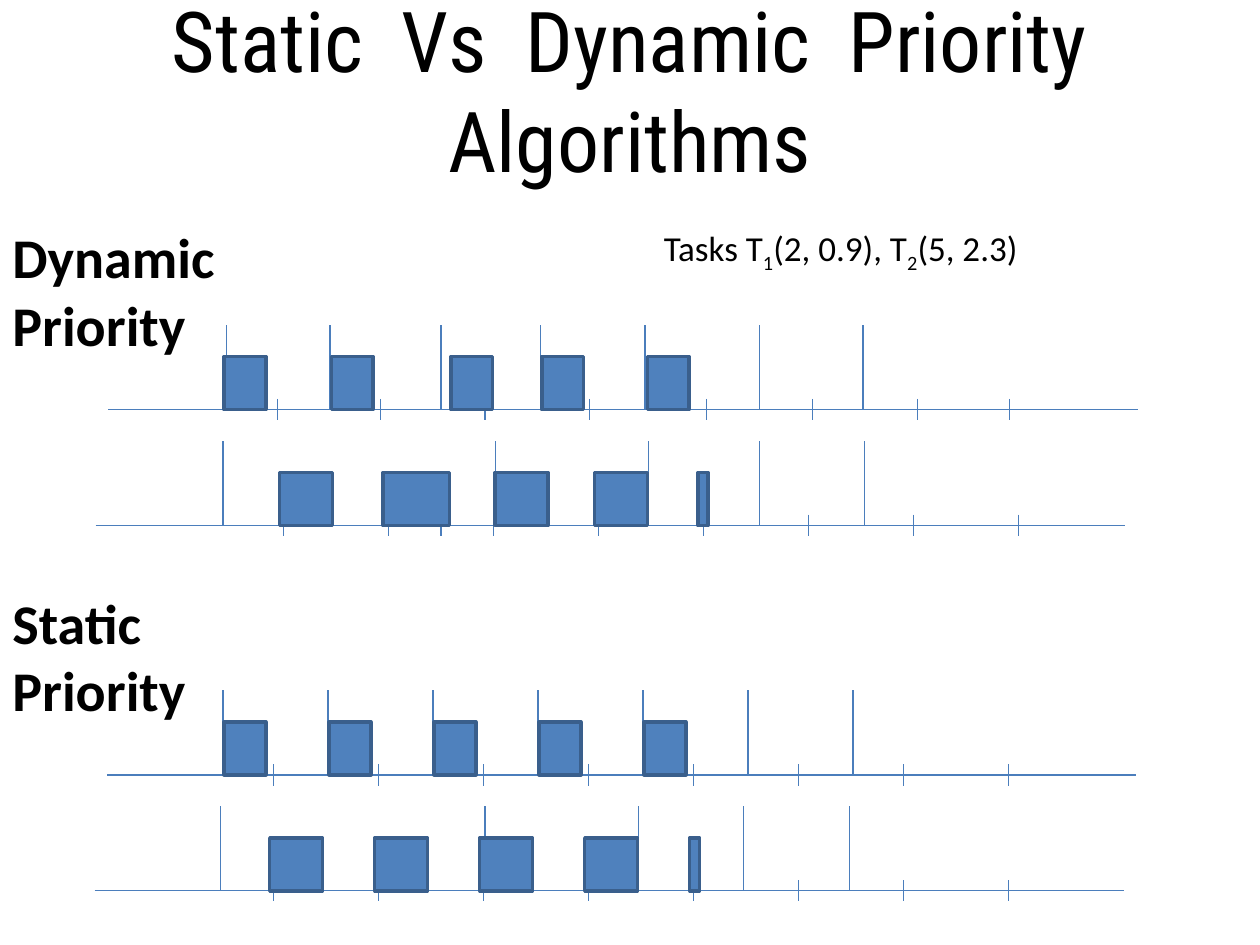
from dataclasses import dataclass

from lxml import etree
from pptx import Presentation
from pptx.dml.color import RGBColor
from pptx.enum.shapes import MSO_CONNECTOR, MSO_SHAPE
from pptx.enum.text import MSO_ANCHOR, PP_ALIGN
from pptx.oxml.ns import qn
from pptx.util import Inches, Pt

STRAIGHT = MSO_CONNECTOR.STRAIGHT
RECTANGLE = MSO_SHAPE.RECTANGLE
CENTER = PP_ALIGN.CENTER
LEFT = PP_ALIGN.LEFT
MIDDLE = MSO_ANCHOR.MIDDLE
TOP = MSO_ANCHOR.TOP


@dataclass(frozen=True)
class Theme:
    text: RGBColor = RGBColor.from_string("000000")
    axis: RGBColor = RGBColor.from_string("4B7EBC")
    job_fill: RGBColor = RGBColor.from_string("4F81BD")
    job_edge: RGBColor = RGBColor.from_string("3A5F8C")
    title_font: str = "Roboto Condensed"
    body_font: str = "Calibri"
    title_size: int = 48
    label_size: int = 32
    task_size: int = 20
    axis_width: float = 0.75
    edge_width: float = 2


THEME = Theme()

# All lengths below are in inches.
PERIOD = 5 / 6          # two time units
LANE_WIDTH = 8.17
LANE_HEIGHT = 0.67
LANE_GAP = 0.92
JOB_HEIGHT = 0.42
TICK_HEIGHT = 0.17
T1_JOB = 0.33
T2_JOB = 0.42
T2_LAST_JOB = 0.08


@dataclass(frozen=True)
class Lane:
    """Marks of one task, measured from the left end of its axis."""
    releases: list
    ticks: list
    jobs: list          # (start, width)


def every_period(start, count):
    return [start + i * PERIOD for i in range(count)]


DYNAMIC_LANES = [
    Lane(releases=[0.94, 1.76, 2.64, 3.43, 4.26, 5.17, 5.99],
         ticks=[1.34, 2.16, 2.99, 3.82, 4.75, 5.59, 6.42, 7.15],
         jobs=[(start, T1_JOB) for start in (0.92, 1.77, 2.72, 3.44, 4.28)]),
    Lane(releases=[1.01, 3.17, 4.39, 5.27, 6.1],
         ticks=every_period(1.49, 8) + [2.74],
         jobs=[(1.46, T2_JOB), (2.28, 0.53), (3.17, T2_JOB),
               (3.96, T2_JOB), (4.78, T2_LAST_JOB)]),
]
STATIC_LANES = [
    Lane(releases=every_period(0.92, 7),
         ticks=every_period(1.32, 8),
         jobs=[(start, T1_JOB) for start in every_period(0.93, 5)]),
    Lane(releases=[1, 3.1, 4.32, 5.15, 5.99],
         ticks=every_period(1.42, 8),
         jobs=list(zip(every_period(1.39, 5), [T2_JOB] * 4 + [T2_LAST_JOB]))),
]


def add_text(slide, box, runs, size, font=THEME.body_font, bold=False,
             align=LEFT, anchor=TOP):
    """Place one paragraph; runs are (wording, is_subscript) pairs."""
    frame = slide.shapes.add_textbox(*map(Inches, box)).text_frame
    frame.word_wrap = True
    frame.vertical_anchor = anchor
    paragraph = frame.paragraphs[0]
    paragraph.alignment = align
    for wording, is_subscript in runs:
        run = paragraph.add_run()
        run.text = wording
        run.font.name = font
        run.font.size = Pt(size)
        run.font.bold = bold
        run.font.color.rgb = THEME.text
        if is_subscript:
            run.font._element.set("baseline", "-25000")


def add_line(slide, x1, y1, x2, y2):
    line = slide.shapes.add_connector(STRAIGHT, *map(Inches, (x1, y1, x2, y2)))
    line.line.color.rgb = THEME.axis
    line.line.width = Pt(THEME.axis_width)
    etree.SubElement(line._element.spPr, qn("a:effectLst"))


def add_job(slide, left, top, width, height):
    job = slide.shapes.add_shape(RECTANGLE, *map(Inches, (left, top, width, height)))
    job.shadow.inherit = False
    job.fill.solid()
    job.fill.fore_color.rgb = THEME.job_fill
    job.line.color.rgb = THEME.job_edge
    job.line.width = Pt(THEME.edge_width)


def add_lane(slide, box, lane):
    left, top, width, height = box
    axis = top + height
    add_line(slide, left, axis, left + width, axis)
    for x in lane.releases:
        add_line(slide, left + x, top, left + x, axis)
    for x in lane.ticks:
        add_line(slide, left + x, axis - TICK_HEIGHT / 2,
                 left + x, axis + TICK_HEIGHT / 2)
    for start, job_width in lane.jobs:
        add_job(slide, left + start, axis - JOB_HEIGHT, job_width, JOB_HEIGHT)


def add_schedule(slide, box, label, lanes):
    """Two stacked lanes, the second 0.1 further left, with a label above."""
    left, top, width, height = box
    for i, lane in enumerate(lanes):
        add_lane(slide, (left - 0.1 * i, top + LANE_GAP * i, width, height), lane)
    label_top = top - 0.86
    add_text(slide, (0, label_top, 2, 1.18), [(label, False)],
             THEME.label_size, bold=True)


def main():
    deck = Presentation()
    deck.slide_width, deck.slide_height = Inches(10), Inches(7.5)
    slide = deck.slides.add_slide(deck.slide_layouts[6])

    add_text(slide, (0.5, 0.08, 9, 1.25),
             [("Static  Vs  Dynamic  Priority Algorithms", False)],
             THEME.title_size, THEME.title_font, align=CENTER, anchor=MIDDLE)
    add_text(slide, (5.17, 1.75, 4.5, 0.44),
             [("Tasks T", False), ("1", True), ("(2, 0.9), T", False),
              ("2", True), ("(5, 2.3)", False)], THEME.task_size)
    add_schedule(slide, (0.86, 2.58, LANE_WIDTH, LANE_HEIGHT),
                 "Dynamic Priority", DYNAMIC_LANES)
    add_schedule(slide, (0.85, 5.48, LANE_WIDTH, LANE_HEIGHT),
                 "Static Priority", STATIC_LANES)

    deck.save("out.pptx")


if __name__ == "__main__":
    main()
